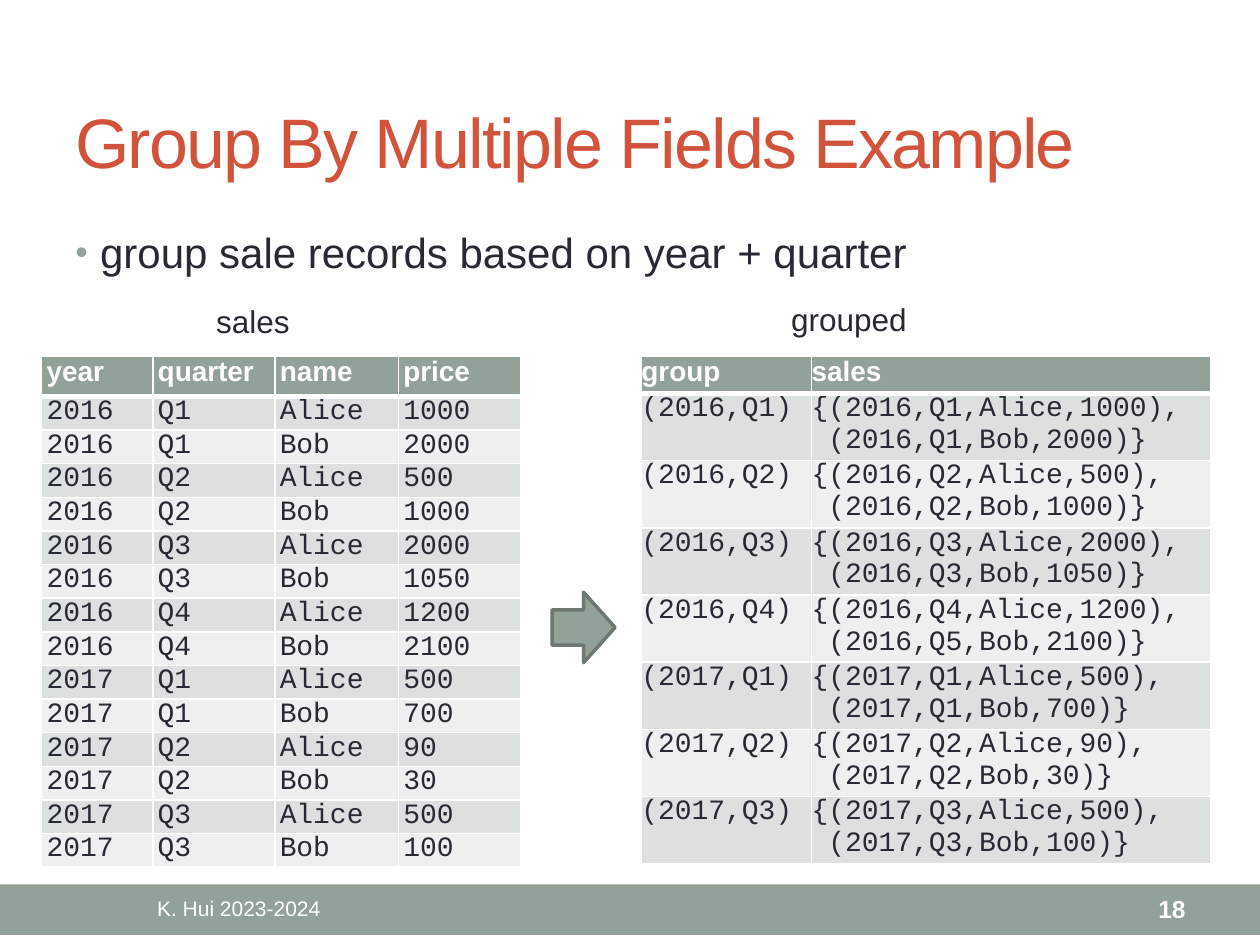
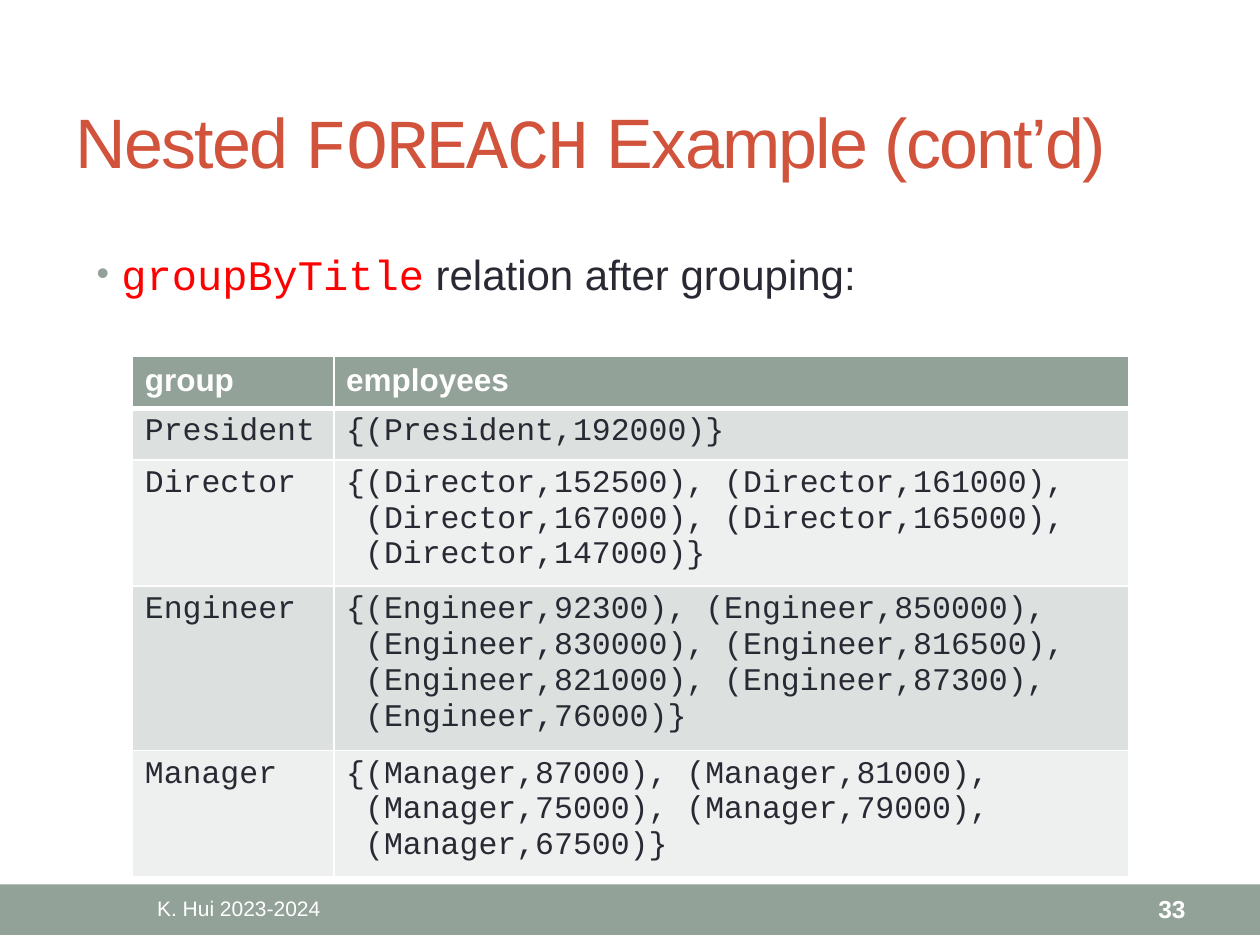
from itertools import product

from lxml import etree
from pptx import Presentation
from pptx import util as u
from pptx.dml import color
from pptx.enum import shapes, text
from pptx.oxml import ns

SAGE, EDGE, RUST, INK = "93A299", "6D7871", "D2533C", "292934"
WHITE, RED = "FFFFFF", "FF0000"
BANDS = ("DCE0DE", "EEF0EF")
SANS, MONO = "Arial", "Courier New"
WIDE, HIGH = 25.4, 19.05
TOP = 7.19  # upper edge of every table

TITLE = dict(size=40, name=SANS, color=RUST, spc=-100)
BODY = dict(size=24, name=SANS, color=INK)
LABEL = dict(size=18, name=SANS, color=INK)
FOOT = dict(size=12, name=SANS, color=WHITE)
PAGE = dict(size=14, name=SANS, color=WHITE, bold=True)

YEARS = [(2016, q) for q in ("Q1", "Q2", "Q3", "Q4")]
YEARS += [(2017, q) for q in ("Q1", "Q2", "Q3")]
PRICES = [1000, 2000, 500, 1000, 2000, 1050, 1200, 2100,
          500, 700, 90, 30, 500, 100]
SALES = [(year, term, name, price) for ((year, term), name), price
         in zip(product(YEARS, ("Alice", "Bob")), PRICES)]
BAGS = [
    "{(2016,Q1,Alice,1000),\n (2016,Q1,Bob,2000)}",
    "{(2016,Q2,Alice,500),\n (2016,Q2,Bob,1000)}",
    "{(2016,Q3,Alice,2000),\n (2016,Q3,Bob,1050)}",
    "{(2016,Q4,Alice,1200),\n (2016,Q5,Bob,2100)}",
    "{(2017,Q1,Alice,500),\n (2017,Q1,Bob,700)}",
    "{(2017,Q2,Alice,90),\n (2017,Q2,Bob,30)}",
    "{(2017,Q3,Alice,500),\n (2017,Q3,Bob,100)}",
]
GROUPS = [(f"({year},{term})", bag) for (year, term), bag in zip(YEARS, BAGS)]
STAFF = [
    ("President", "{(President,192000)}"),
    ("Director", "{(Director,152500), (Director,161000),\n"
                 " (Director,167000), (Director,165000),\n"
                 " (Director,147000)}"),
    ("Engineer", "{(Engineer,92300), (Engineer,850000),\n"
                 " (Engineer,830000), (Engineer,816500),\n"
                 " (Engineer,821000), (Engineer,87300),\n"
                 " (Engineer,76000)}"),
    ("Manager", "{(Manager,87000), (Manager,81000),\n"
                " (Manager,75000), (Manager,79000),\n"
                " (Manager,67500)}"),
]


def rgb(code):
    return color.RGBColor.from_string(code)


def cms(box):
    return [u.Cm(side) for side in box]


def sub(node, tag, **attrs):
    return etree.SubElement(node, ns.qn(tag), attrs)


def add_run(para, words, form):
    run = para.add_run()
    run.text = words
    for key, val in form.items():
        if key == "color":
            run.font.color.rgb = rgb(val)
        elif key == "spc":
            run.font._element.set("spc", str(val))
        else:
            setattr(run.font, key, u.Pt(val) if key == "size" else val)


def add_text(slide, box, runs, align=None, anchor=text.MSO_ANCHOR.TOP,
             wrap=True):
    """Add a text box of one paragraph, made of (words, format) runs."""
    frame = slide.shapes.add_textbox(*cms(box)).text_frame
    frame.word_wrap = wrap
    frame.vertical_anchor = anchor
    para = frame.paragraphs[0]
    para.alignment = align
    for words, form in runs:
        add_run(para, words, form)
    return para


def add_shape(slide, kind, box, fill, edge=None):
    shape = slide.shapes.add_shape(kind, *cms(box))
    shape.shadow.inherit = False
    shape.fill.solid()
    shape.fill.fore_color.rgb = rgb(fill)
    if edge:
        shape.line.color.rgb = rgb(edge)
        shape.line.width = u.Pt(2)
    else:
        shape.line.fill.background()


def add_frame(deck, title, page):
    """Add a slide with the title, band and footer all slides share."""
    slide = deck.slides.add_slide(deck.slide_layouts[6])
    mid = text.MSO_ANCHOR.MIDDLE
    add_shape(slide, shapes.MSO_SHAPE.RECTANGLE, (0, 17.83, WIDE, 1.02), SAGE)
    add_text(slide, (1.27, 1.47, 22.86, 2.74), title, anchor=mid)
    add_text(slide, (1.27, 17.86, 7.09, 0.91), [("K. Hui 2023-2024", FOOT)],
             text.PP_ALIGN.CENTER, mid)
    add_text(slide, (21.18, 17.86, 2.97, 0.91), [(str(page), PAGE)],
             text.PP_ALIGN.RIGHT, mid)
    return slide


def add_bullet(slide, box, runs):
    props = add_text(slide, box, runs)._p.get_or_add_pPr()
    indent = u.Cm(0.5)
    props.set("marL", str(indent))
    props.set("indent", str(-indent))
    sub(sub(props, "a:spcBef"), "a:spcPct", val="20000")
    sub(sub(props, "a:buClr"), "a:srgbClr", val=SAGE)
    sub(props, "a:buSzPct", val="85000")
    sub(props, "a:buFont", typeface=SANS)
    sub(props, "a:buChar", char="•")


def add_edges(cell, row):
    """Draw white cell borders, heavy between the head and the first row."""
    props = cell._tc.get_or_add_tcPr()
    heavy = {0: "a:lnB", 1: "a:lnT"}.get(row)
    for tag in ("a:lnL", "a:lnR", "a:lnT", "a:lnB"):
        line = sub(props, tag, w=str(u.Pt(3 if tag == heavy else 1)))
        sub(sub(line, "a:solidFill"), "a:srgbClr", val=WHITE)


def add_table(slide, left, cols, head, rows, tall, size, pad):
    """Add a table; tall is (head, row) height and pad is (side, end) inset."""
    lines = [head, *rows]
    highs = [tall[0]] + [tall[1]] * len(rows)
    box = cms((left, TOP, sum(cols), sum(highs)))
    table = slide.shapes.add_table(len(lines), len(cols), *box).table
    for col, width in zip(table.columns, cols):
        col.width = u.Cm(width)
    side, end = cms(pad)
    inset = dict(margin_left=side, margin_right=side,
                 margin_top=end, margin_bottom=end)
    for r, line in enumerate(lines):
        table.rows[r].height = u.Cm(highs[r])
        form = dict(size=size, name=MONO if r else SANS,
                    color=INK if r else WHITE, bold=not r)
        for c, words in enumerate(line):
            cell = table.cell(r, c)
            for key, val in inset.items():
                setattr(cell, key, val)
            add_edges(cell, r)
            cell.fill.solid()
            cell.fill.fore_color.rgb = rgb(BANDS[(r - 1) % 2] if r else SAGE)
            frame = cell.text_frame
            for i, part in enumerate(str(words).split("\n")):
                para = frame.add_paragraph() if i else frame.paragraphs[0]
                add_run(para, part, form)


def sales_slide(deck):
    slide = add_frame(deck, [("Group By Multiple Fields Example", TITLE)], 18)
    add_bullet(slide, (1.27, 4.45, 22.86, 1.47),
               [("group sale records based on year + quarter", BODY)])
    add_table(slide, 0.84, (2.24, 2.46, 2.49, 2.46),
              ("year", "quarter", "name", "price"), SALES,
              (0.8, 0.66), 16, (0.1, 0))
    add_table(slide, 12.93, (3.43, 8.05), ("group", "sales"), GROUPS,
              (0.74, 1.14), 16, (0, 0))
    add_text(slide, (4.11, 5.97, 2.01, 1.02), [("sales", LABEL)], wrap=False)
    add_text(slide, (15.7, 5.92, 2.87, 1.02), [("grouped", LABEL)], wrap=False)
    add_shape(slide, shapes.MSO_SHAPE.RIGHT_ARROW,
              (11.13, 11.94, 1.27, 1.42), SAGE, EDGE)


def staff_slide(deck):
    slide = add_frame(deck, [("Nested ", TITLE),
                             ("FOREACH", {**TITLE, "name": MONO}),
                             (" Example (cont’d)", TITLE)], 33)
    add_bullet(slide, (1.7, 4.88, 22.86, 2.08),
               [("groupByTitle", {**BODY, "name": MONO, "color": RED}),
                (" relation after grouping:", BODY)])
    add_table(slide, 2.67, (4.06, 16.03), ("group", "employees"), STAFF,
              (1.04, 1.04), 18, (0.25, 0.13))


def main():
    deck = Presentation()
    deck.slide_width, deck.slide_height = cms((WIDE, HIGH))
    sales_slide(deck)
    staff_slide(deck)
    deck.save("out.pptx")


if __name__ == "__main__":
    main()
